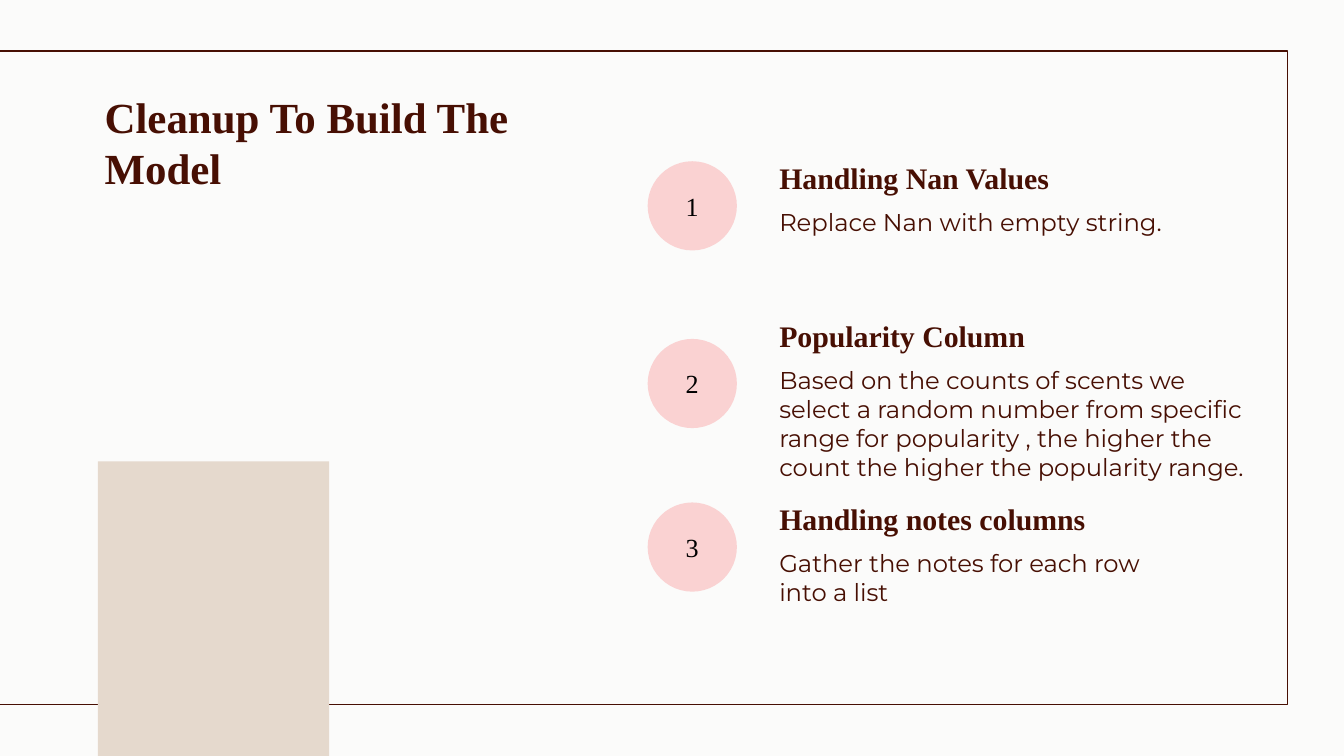
import pptx
import pptx.util
import pptx.dml.color
import pptx.enum.shapes
import pptx.enum.text

Pt = pptx.util.Pt
Shape = pptx.enum.shapes.MSO_SHAPE
Anchor = pptx.enum.text.MSO_ANCHOR
Align = pptx.enum.text.PP_ALIGN
SERIF, SANS = "Times New Roman", "Montserrat"
BROWN, SAND, PINK = "470F03", "E5D9CD", "FAD2D2"


def paint(color, code):
    color.rgb = pptx.dml.color.RGBColor.from_string(code)


def write(shape, text, face, size, code=BROWN, bold=False,
          anchor=Anchor.TOP, align=Align.LEFT):
    frame = shape.text_frame
    frame.word_wrap = True
    frame.auto_size = pptx.enum.text.MSO_AUTO_SIZE.NONE
    frame.vertical_anchor = anchor
    frame.margin_left = frame.margin_right = Pt(7.2)
    frame.margin_top = frame.margin_bottom = Pt(7.2)
    para = frame.paragraphs[0]
    para.alignment = align
    run = para.add_run()
    run.text = text
    run.font.name, run.font.size, run.font.bold = face, Pt(size), bold
    paint(run.font.color, code)


deck = pptx.Presentation()
deck.slide_width, deck.slide_height = Pt(720), Pt(405)
slide = deck.slides.add_slide(deck.slide_layouts[5])
shapes = slide.shapes

# Background
back = slide.background.fill
back.solid()
paint(back.fore_color, "FBFBFA")

# Border and sand block
border = shapes.add_shape(Shape.RECTANGLE, Pt(-11.5), Pt(27.3), Pt(701.3), Pt(350))
border.shadow.inherit = False
border.fill.background()
border.line.width = Pt(0.75)
paint(border.line.color, BROWN)

block = shapes.add_shape(Shape.RECTANGLE, Pt(52.4), Pt(247.2), Pt(123.9), Pt(163.4))
block.shadow.inherit = False
block.fill.solid()
paint(block.fill.fore_color, SAND)
block.line.fill.background()

# Title
title = shapes.title
title.left, title.top, title.width, title.height = Pt(48.8), Pt(41.2), Pt(241.2), Pt(45.4)
write(title, "Cleanup To Build The Model", SERIF, 23, bold=True)

# Steps: heading top, circle top, body width, heading, body
steps = [
    (79.9, 86.4, 225.4, "Handling Nan Values",
     "Replace Nan with empty string."),
    (164.7, 181.6, 270, "Popularity Column",
     "Based on the counts of scents we select a random number from specific "
     "range for popularity , the higher the count the higher the popularity range."),
    (262.8, 269.2, 225.4, "Handling notes columns",
     "Gather the notes for each row into a list"),
]
for num, (top, disc, wide, head, body) in enumerate(steps, 1):
    box = shapes.add_textbox(Pt(410.4), Pt(top), Pt(225.4), Pt(30.2))
    write(box, head, SERIF, 16, bold=True, anchor=Anchor.MIDDLE)
    box = shapes.add_textbox(Pt(410.4), Pt(top + 23.8), Pt(wide), Pt(50.4))
    write(box, body, SANS, 13)

    # Numbered circle
    dot = shapes.add_shape(Shape.OVAL, Pt(347), Pt(disc), Pt(47.8), Pt(47.8))
    dot.shadow.inherit = False
    dot.fill.solid()
    paint(dot.fill.fore_color, PINK)
    dot.line.fill.background()
    write(dot, str(num), SERIF, 14, "000000", anchor=Anchor.MIDDLE, align=Align.CENTER)

deck.save("out.pptx")
